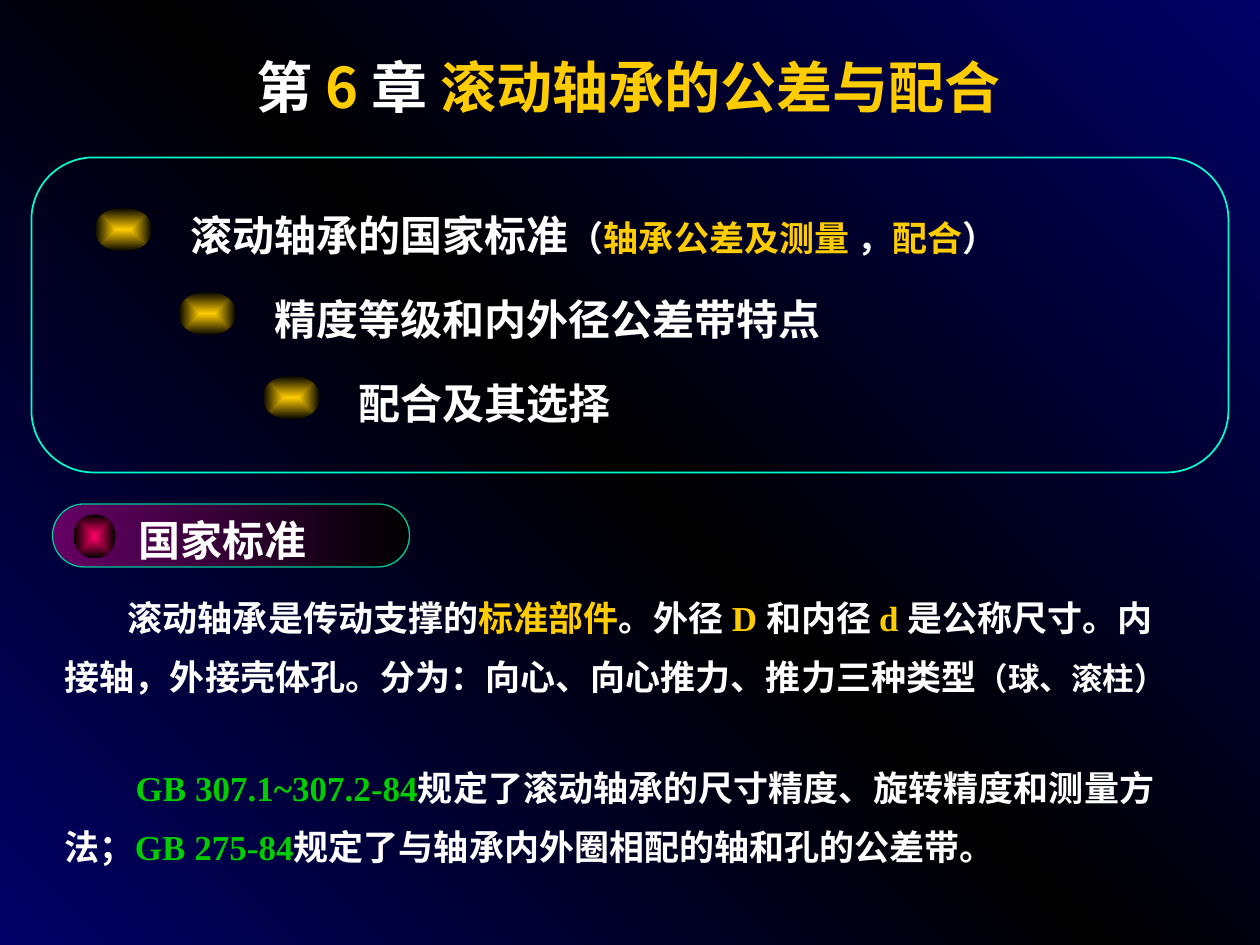
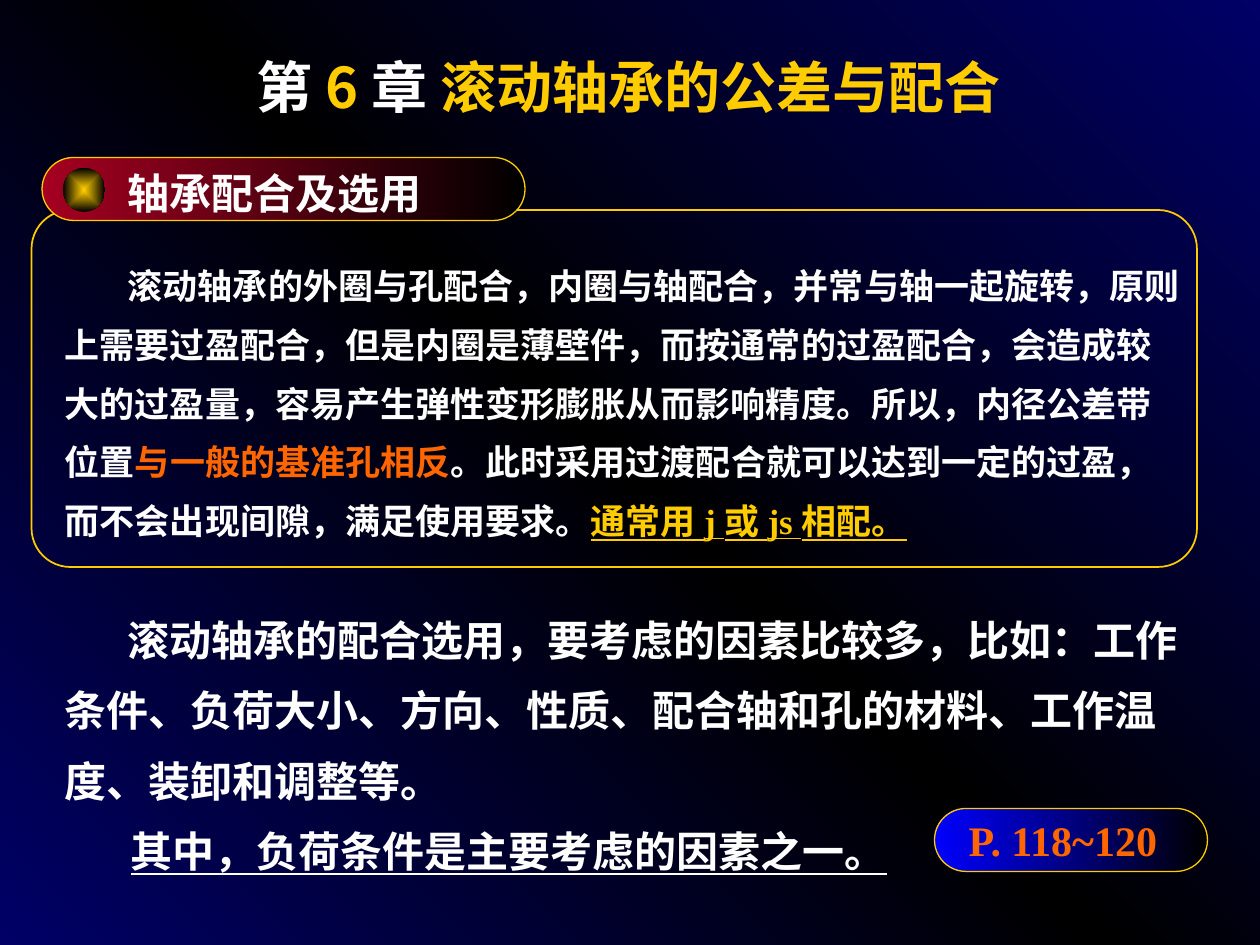
"""Build two slides on the tolerances and fits of rolling bearings."""
import pptx
import pptx.dml.color
import pptx.enum.dml
import pptx.enum.shapes
import pptx.enum.text
import pptx.oxml
import pptx.oxml.ns
import pptx.util
from lxml import etree

Pt = pptx.util.Pt
color = pptx.dml.color.RGBColor.from_string
qn = pptx.oxml.ns.qn
ROUNDED = pptx.enum.shapes.MSO_SHAPE.ROUNDED_RECTANGLE
OVAL = pptx.enum.shapes.MSO_SHAPE.OVAL
ANCHOR = pptx.enum.text.MSO_ANCHOR
ALIGN = pptx.enum.text.PP_ALIGN
AUTO_SIZE = pptx.enum.text.MSO_AUTO_SIZE

WHITE, GOLD, ORANGE, GREEN, BLACK, NAVY = "FFFFFF", "FFCC00", "FF6600", "00CC00", "000000", "000066"
CJK_FONT, LATIN_FONT = "Noto Sans CJK SC", "Times New Roman"


def set_gradient(fill, owner, colors, angle=None):
    """Spread colors evenly along an angle, or outward from the centre without one."""
    fill.gradient()
    gradient = next(owner.iter(qn("a:gradFill")))
    for child in list(gradient):
        gradient.remove(child)
    stops = etree.SubElement(gradient, qn("a:gsLst"))
    for index, value in enumerate(colors):
        stop = etree.SubElement(stops, qn("a:gs"), pos=str(100000 * index // (len(colors) - 1)))
        etree.SubElement(stop, qn("a:srgbClr"), val=value)
    if angle is None:
        center = etree.SubElement(gradient, qn("a:path"), {"path": "rect"})
        etree.SubElement(center, qn("a:fillToRect"), l="50000", t="50000", r="50000", b="50000")
    else:
        etree.SubElement(gradient, qn("a:lin"), ang=str(angle * 60000), scaled="0")


def add_text(slide, box, paragraphs, size=24, spacing=1.0, font=LATIN_FONT):
    """Add a text box of (first indent, space before, runs); a run is text, color, size, underline."""
    frame = slide.shapes.add_textbox(*map(Pt, box)).text_frame
    frame.word_wrap = True
    for index, (indent, before, runs) in enumerate(paragraphs):
        paragraph = frame.add_paragraph() if index else frame.paragraphs[0]
        paragraph.line_spacing = spacing
        if before:
            paragraph.space_before = Pt(before)
        if indent:
            paragraph._p.get_or_add_pPr().set("indent", str(Pt(indent)))
        for text, value, *extra in runs:
            run = paragraph.add_run()
            run.text = text
            run.font.size = Pt(extra[0] if extra else size)
            run.font.bold = True
            run.font.underline = True if len(extra) > 1 else None
            run.font.color.rgb = color(value)
            run.font.name = font
            etree.SubElement(run._r.get_or_add_rPr(), qn("a:ea"), typeface=CJK_FONT)
    return frame


presentation = pptx.Presentation()
presentation.slide_width, presentation.slide_height = Pt(720), Pt(540)
master = presentation.slide_master
set_gradient(master.background.fill, master.element, [NAVY, BLACK, NAVY], 135)

topics = [
    (564, [("滚动轴承的国家标准", WHITE), ("（", WHITE, 20), ("轴承公差及测量 ", GOLD, 20),
           ("，", WHITE, 20), ("配合", GOLD, 20), ("）", WHITE, 20)]),
    (354, [("精度等级和内外径公差带特点", WHITE)]),
    (354, [("配合及其选择", WHITE)]),
]
standards = [
    (36, 0, [("滚动轴承是传动支撑的", WHITE), ("标准部件", GOLD), ("。外径 ", WHITE), ("D ", GOLD),
             ("和内径 ", WHITE), ("d ", GOLD),
             ("是公称尺寸。内接轴，外接壳体孔。分为：向心、向心推力、推力三种类型", WHITE),
             ("（球、滚柱）", WHITE, 18)]),
    (40.5, 30, [("GB 307.1~307.2-84", GREEN),
                ("规定了滚动轴承的尺寸精度、旋转精度和测量方法；", WHITE),
                ("GB 275-84", GREEN), ("规定了与轴承内外圈相配的轴和孔的公差带。", WHITE)]),
]
fits = [
    (36, 0, [("滚动轴承的外圈与孔配合，内圈与轴配合，并常与轴一起旋转，原则上需要过盈配合，"
              "但是内圈是薄壁件，而按通常的过盈配合，会造成较大的过盈量，"
              "容易产生弹性变形膨胀从而影响精度。所以，内径公差带位置", WHITE),
             ("与一般的基准孔相反", ORANGE),
             ("。此时采用过渡配合就可以达到一定的过盈，而不会出现间隙，满足使用要求。", WHITE),
             ("通常用 j 或 js 相配。", GOLD, 20, True)]),
]
factors = [
    (36, 0, [("滚动轴承的配合选用，要考虑的因素比较多，比如：工作条件、负荷大小、方向、性质、"
              "配合轴和孔的材料、工作温度、装卸和调整等。", WHITE)]),
    (37.6, 0, [("其中，负荷条件是主要考虑的因素之一。", WHITE, 24, True)]),
]

topic_places = [(102 + 48 * step, 102 + 48 * step) for step in range(len(topics))]
topic_dots = [(OVAL, (left - 48, top + 16.7, 33, 25), None, None, [GOLD, BLACK], None)
              for left, top in topic_places]
pages = [
    {"shapes": [(ROUNDED, (18, 90, 684, 180), 0.197, ("00FFCC", 1), None, None)] + topic_dots,
     "heading": ("国家标准", 30, 288, 204, "00CC99", "660066", "FF0066"),
     "bodies": [((30, 327.6, 648, 202), standards, 20)]},
    {"shapes": [(ROUNDED, (534, 462, 156, 36), 0.5, (GOLD, 0.75), [BLACK, "0000FF"], 180),
                (ROUNDED, (18, 120, 666, 204), 0.109, (GOLD, 1), None, None)],
     "heading": ("轴承配合及选用", 24, 90, 276, GOLD, "A50021", GOLD),
     "bodies": [((30, 138, 654, 176), fits, 20), ((30, 336, 654, 168), factors, 24)]},
]

slides = []
for page in pages:
    slide = presentation.slides.add_slide(presentation.slide_layouts[6])
    slides.append(slide)
    heading, left, top, width, edge, glow, dot = page["heading"]
    heading_shapes = [
        (ROUNDED, (left, top, width, 36), 0.5, (edge, 0.75), [BLACK, glow], 180),
        (OVAL, (left + 12, top + 6, 24, 25), None, None, [dot, BLACK], None),
    ]
    for preset, box, corner, line, colors, angle in page["shapes"] + heading_shapes:
        shape = slide.shapes.add_shape(preset, *map(Pt, box))
        shape.shadow.inherit = False
        if corner:
            shape.adjustments[0] = corner
        if colors:
            set_gradient(shape.fill, shape._element.spPr, colors, angle)
        else:
            shape.fill.background()
        if line:
            shape.line.color.rgb = color(line[0])
            shape.line.width = Pt(line[1])
        else:
            shape.line.fill.background()

    title = add_text(slide, (54, 12, 618, 60), [
        (0, 0, [("第 ", WHITE), ("6 ", GOLD), ("章 ", WHITE), ("滚动轴承的公差与配合 ", GOLD)]),
    ], 32, font=CJK_FONT)
    title.vertical_anchor = ANCHOR.BOTTOM
    title.paragraphs[0].alignment = ALIGN.CENTER
    add_text(slide, (left + 42, top - 12, width - 54, 48), [(0, 0, [(heading, WHITE)])], spacing=1.5)
    for box, paragraphs, size in page["bodies"]:
        add_text(slide, box, paragraphs, size, 1.4).auto_size = AUTO_SIZE.SHAPE_TO_FIT_TEXT

for (left, top), (width, runs) in zip(topic_places, topics):
    add_text(slides[0], (left, top, width, 48), [(0, 0, runs)], spacing=1.5)

pages_note = add_text(slides[1], (546.5, 462, 125, 36), [(0, 0, [("P. 118~120", ORANGE)])])
pages_note.word_wrap = False
pages_note.auto_size = AUTO_SIZE.SHAPE_TO_FIT_TEXT

presentation.save("out.pptx")
